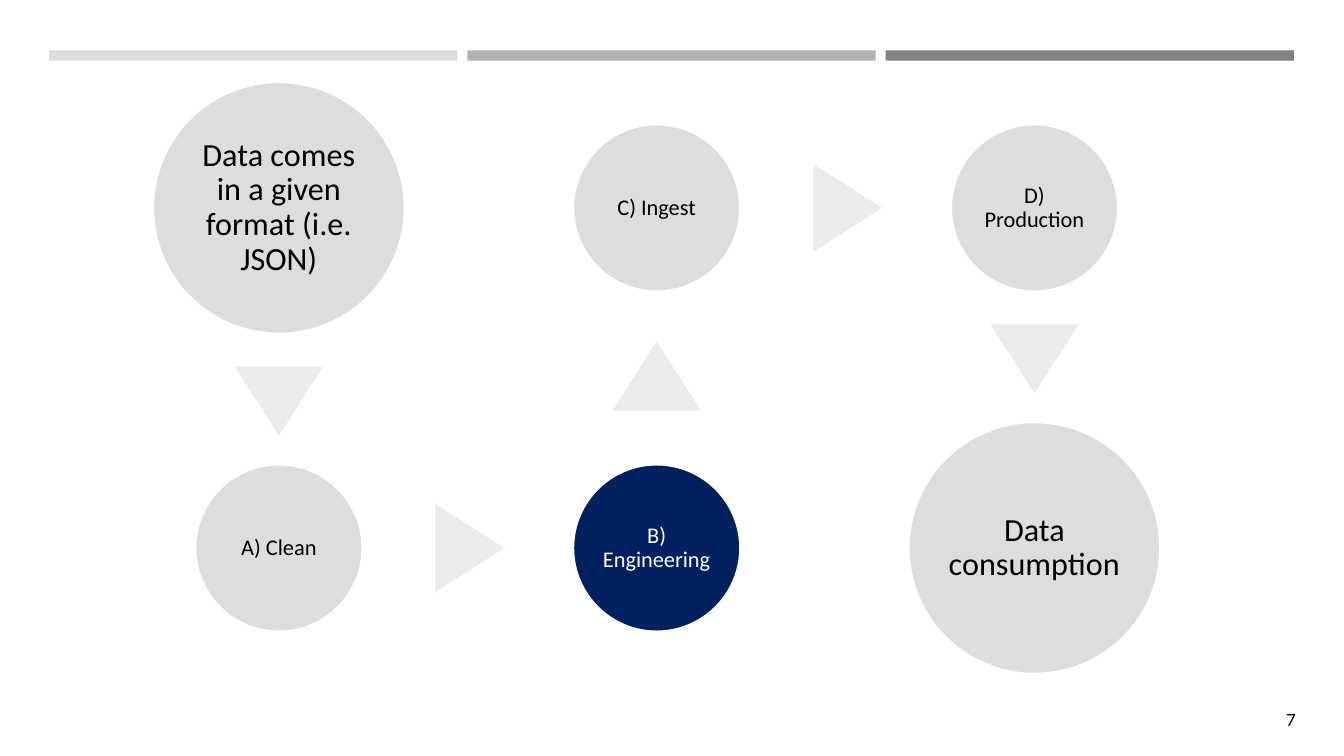
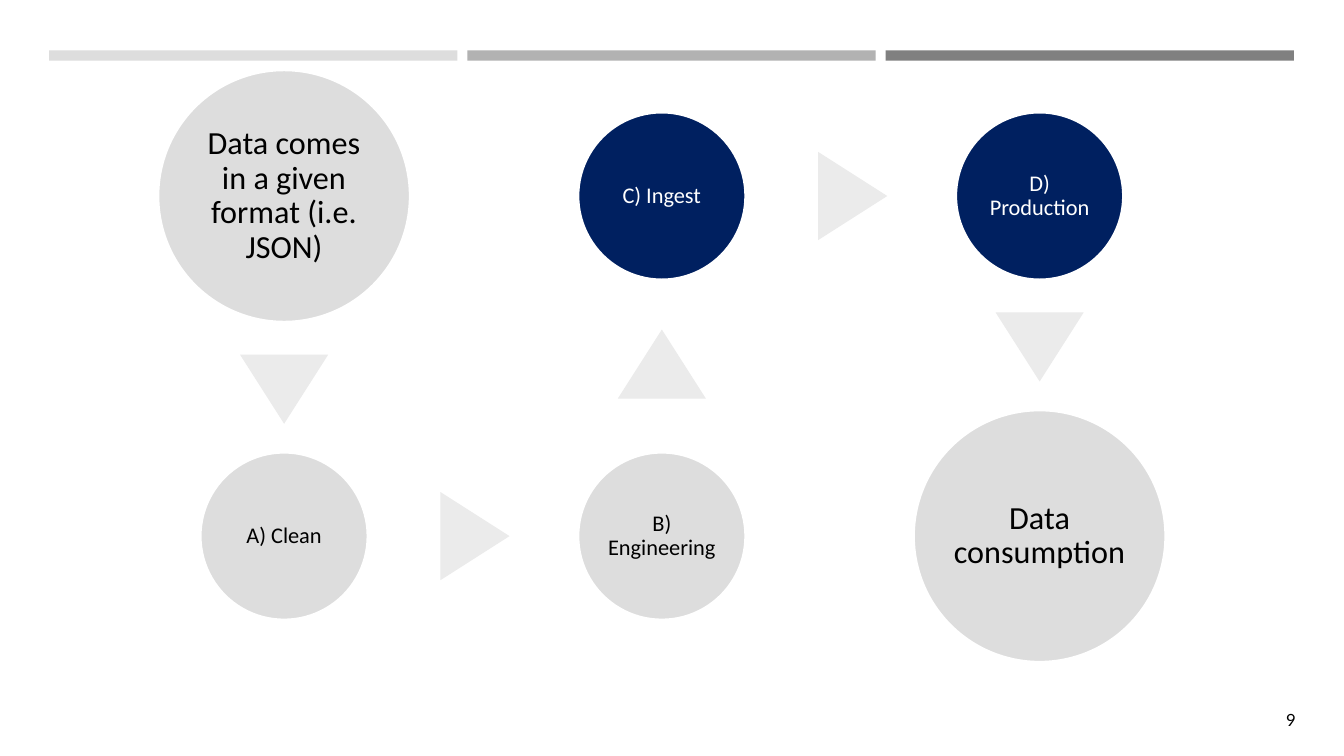
from itertools import pairwise
from math import atan2, degrees, hypot

from pptx import Presentation
from pptx.dml.color import RGBColor
from pptx.enum.shapes import MSO_SHAPE
from pptx.enum.text import MSO_ANCHOR, PP_ALIGN
from pptx.util import Cm, Pt

WHITE = RGBColor(0xFF, 0xFF, 0xFF)
BLACK = RGBColor(0x00, 0x00, 0x00)
NAVY = RGBColor(0x00, 0x20, 0x60)
LIGHT = RGBColor(0xDD, 0xDD, 0xDD)
PALE = RGBColor(0xEB, 0xEB, 0xEB)
MID = RGBColor(0xB2, 0xB2, 0xB2)
DARK = RGBColor(0x80, 0x80, 0x80)

COL_STEP, ROW_STEP = 9.52, 8.57
BIG, SMALL = 6.35, 4.22
STEPS = [
    ("Data comes in a given format (i.e. JSON)", 0, 0, BIG),
    ("A) Clean", 0, 1, SMALL),
    ("B) Engineering", 1, 1, SMALL),
    ("C) Ingest", 1, 0, SMALL),
    ("D) Production", 2, 0, SMALL),
    ("Data consumption", 2, 1, BIG),
]


class Deck:
    def __init__(self):
        self.prs = Presentation()
        self.prs.slide_width = Cm(33.87)
        self.prs.slide_height = Cm(19.05)

    def slide(self, number):
        self.s = self.prs.slides.add_slide(self.prs.slide_layouts[6])
        for i, color in enumerate((LIGHT, MID, DARK)):
            self.shape(MSO_SHAPE.RECTANGLE, 1.24 + i * 10.54, 1.27, 10.29, 0.26, color)
        box = self.s.shapes.add_textbox(Cm(31.36), Cm(17.63), Cm(1.55), Cm(1.02))
        self.text(box.text_frame, number, "Lato", 12, BLACK, PP_ALIGN.RIGHT)

    def shape(self, kind, x, y, w, h, fill):
        sp = self.s.shapes.add_shape(kind, Cm(x), Cm(y), Cm(w), Cm(h))
        sp.shadow.inherit = False
        sp.fill.solid()
        sp.fill.fore_color.rgb = fill
        sp.line.fill.background()
        return sp

    def text(self, tf, text, font, size, color, align):
        tf.word_wrap = True
        tf.vertical_anchor = MSO_ANCHOR.MIDDLE
        p = tf.paragraphs[0]
        p.alignment = align
        r = p.add_run()
        r.text = text
        r.font.name = font
        r.font.size = Pt(size)
        r.font.color.rgb = color
        return p

    def circle(self, text, cx, cy, d, active):
        sp = self.shape(MSO_SHAPE.OVAL, cx - d / 2, cy - d / 2, d, d,
                        NAVY if active else LIGHT)
        sp.line.color.rgb = WHITE
        sp.line.width = Pt(1.75)
        tf = sp.text_frame
        inset = Cm(0.08 if d == BIG else 0.05)
        tf.margin_left = tf.margin_right = tf.margin_top = tf.margin_bottom = inset
        p = self.text(tf, text, "Calibri", 23 if d == BIG else 16,
                      WHITE if active else BLACK, PP_ALIGN.CENTER)
        p.line_spacing = 0.9

    def arrow(self, start, end):
        (x1, y1, d1), (x2, y2, d2) = start, end
        dx, dy = x2 - x1, y2 - y1
        length = hypot(dx, dy)
        share = ((length + (d1 - d2) / 2) / 2 + 0.05) / length
        w, h = 2.22, 1.74
        sp = self.shape(MSO_SHAPE.ISOSCELES_TRIANGLE, x1 + dx * share - w / 2,
                        y1 + dy * share - h / 2, w, h, PALE)
        sp.rotation = degrees(atan2(dy, dx)) + 90

    def flow(self, left, top, active):
        spots = [(left + col * COL_STEP, top + row * ROW_STEP, d)
                 for _, col, row, d in STEPS]
        for (text, *_), (cx, cy, d) in zip(STEPS, spots):
            self.circle(text, cx, cy, d, text in active)
        for start, end in pairwise(spots):
            self.arrow(start, end)


def main():
    deck = Deck()
    deck.slide("7")
    deck.flow(7.03, 5.24, {"B) Engineering"})
    deck.slide("9")
    deck.flow(7.16, 4.94, {"C) Ingest", "D) Production"})
    deck.prs.save("out.pptx")


if __name__ == "__main__":
    main()
